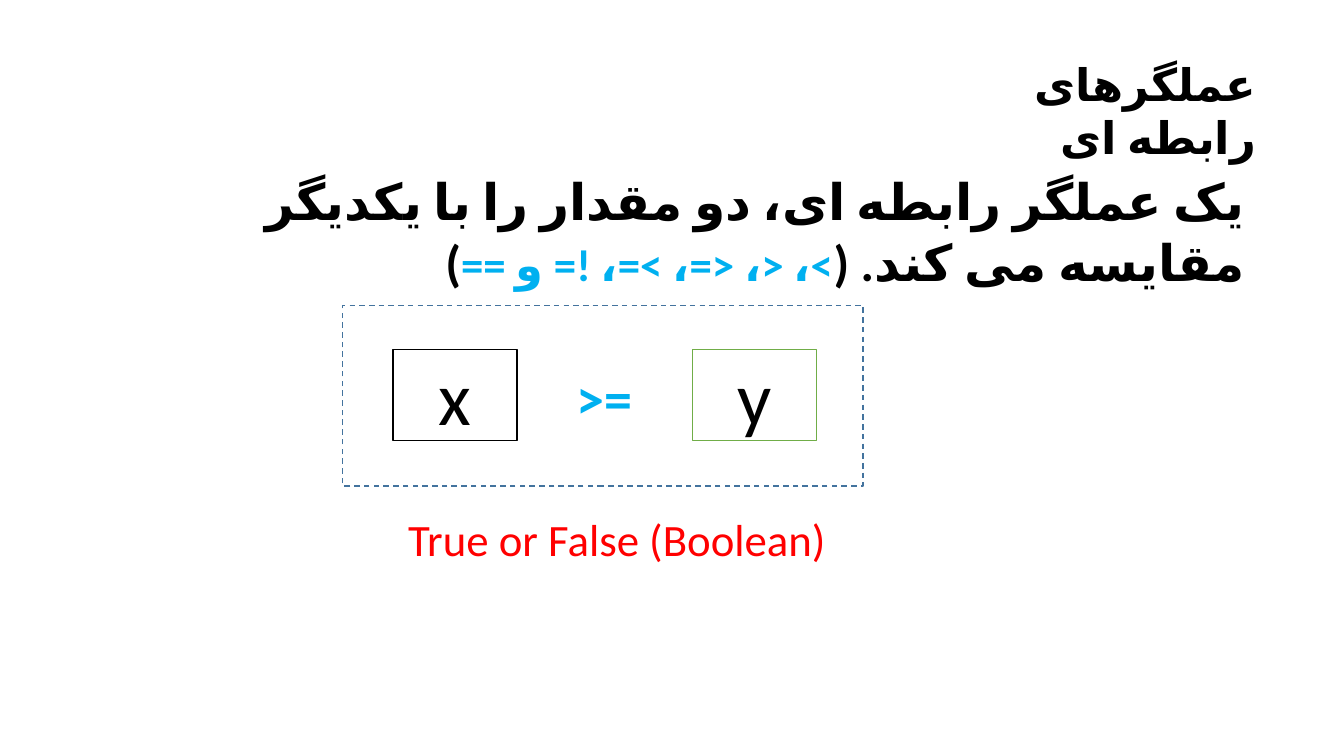
from lxml import etree
from pptx import Presentation
from pptx.dml.color import RGBColor
from pptx.enum.dml import MSO_LINE
from pptx.enum.lang import MSO_LANGUAGE_ID
from pptx.enum.shapes import MSO_SHAPE
from pptx.enum.text import MSO_ANCHOR, MSO_AUTO_SIZE, PP_ALIGN
from pptx.oxml.ns import qn
from pptx.util import Inches, Pt

# Content
FONT = "Calibri"
BLACK, BLUE, RED, WHITE = "000000", "00B0F0", "FF0000", "FFFFFF"

# Captions: place, right-to-left, runs of (text, size, colour, bold)
CAPTIONS = [
    ((9.16, 0.51, 3.4, 0.64), True, [("عملگرهای رابطه ای", 32, BLACK, True)]),
    ((0.83, 1.64, 11.62, 0.71), True, [
        ("یک عملگر رابطه ای، دو مقدار را با یکدیگر مقایسه می کند. (", 36, BLACK, True),
        (">، <، <=، >=، != و ==", 32, BLUE, True),
        (")", 36, BLACK, True),
    ]),
    ((5.62, 3.56, 0.76, 0.77), False, [(">=", 40, BLUE, True)]),
    ((3.95, 5.03, 4.39, 0.64), False, [("True or False (Boolean)", 32, RED, False)]),
]

# Operands: name, left edge, outline
OPERANDS = [("y", 6.87, "70AD47"), ("x", 3.9, BLACK)]
OPERAND_TOP, OPERAND_WIDTH, OPERAND_HEIGHT = 3.47, 1.23, 0.9
FRAME, FRAME_LINE = (3.4, 3.03, 5.16, 1.79), "43739E"


def color(hex_value):
    return RGBColor.from_string(hex_value)


def add_runs(paragraph, runs, rtl=False):
    for text, size, hex_value, bold in runs:
        run = paragraph.add_run()
        run.text = text
        font = run.font
        font.name, font.size, font.bold = FONT, Pt(size), bold
        font.color.rgb = color(hex_value)
        if rtl:
            # Persian script takes its typeface from a:cs
            font.language_id = MSO_LANGUAGE_ID.FARSI
            etree.SubElement(run._r.get_or_add_rPr(), qn("a:cs"), typeface=FONT)


def add_caption(slide, place, rtl, runs):
    caption = slide.shapes.add_textbox(*map(Inches, place))
    frame = caption.text_frame
    frame.word_wrap = rtl
    frame.auto_size = MSO_AUTO_SIZE.SHAPE_TO_FIT_TEXT
    paragraph = frame.paragraphs[0]
    if rtl:
        paragraph.alignment = PP_ALIGN.RIGHT
        paragraph._p.get_or_add_pPr().set("rtl", "1")
    add_runs(paragraph, runs, rtl)


def add_box(slide, place, line):
    box = slide.shapes.add_shape(MSO_SHAPE.RECTANGLE, *map(Inches, place))
    box.shadow.inherit = False
    box.fill.background()
    box.line.color.rgb = color(line)
    box.line.width = Pt(1)
    return box


def main():
    prs = Presentation()
    prs.slide_width, prs.slide_height = Inches(13.33), Inches(7.5)
    slide = prs.slides.add_slide(prs.slide_layouts[6])

    # Explanations and operator
    for caption in CAPTIONS:
        add_caption(slide, *caption)

    # Compared values
    for name, left, line in OPERANDS:
        operand = add_box(slide, (left, OPERAND_TOP, OPERAND_WIDTH, OPERAND_HEIGHT), line)
        operand.fill.solid()
        operand.fill.fore_color.rgb = color(WHITE)
        operand.text_frame.vertical_anchor = MSO_ANCHOR.MIDDLE
        paragraph = operand.text_frame.paragraphs[0]
        paragraph.alignment = PP_ALIGN.CENTER
        add_runs(paragraph, [(name, 54, BLACK, False)])

    # Dashed frame around the comparison
    add_box(slide, FRAME, FRAME_LINE).line.dash_style = MSO_LINE.DASH

    prs.save("out.pptx")


if __name__ == "__main__":
    main()
